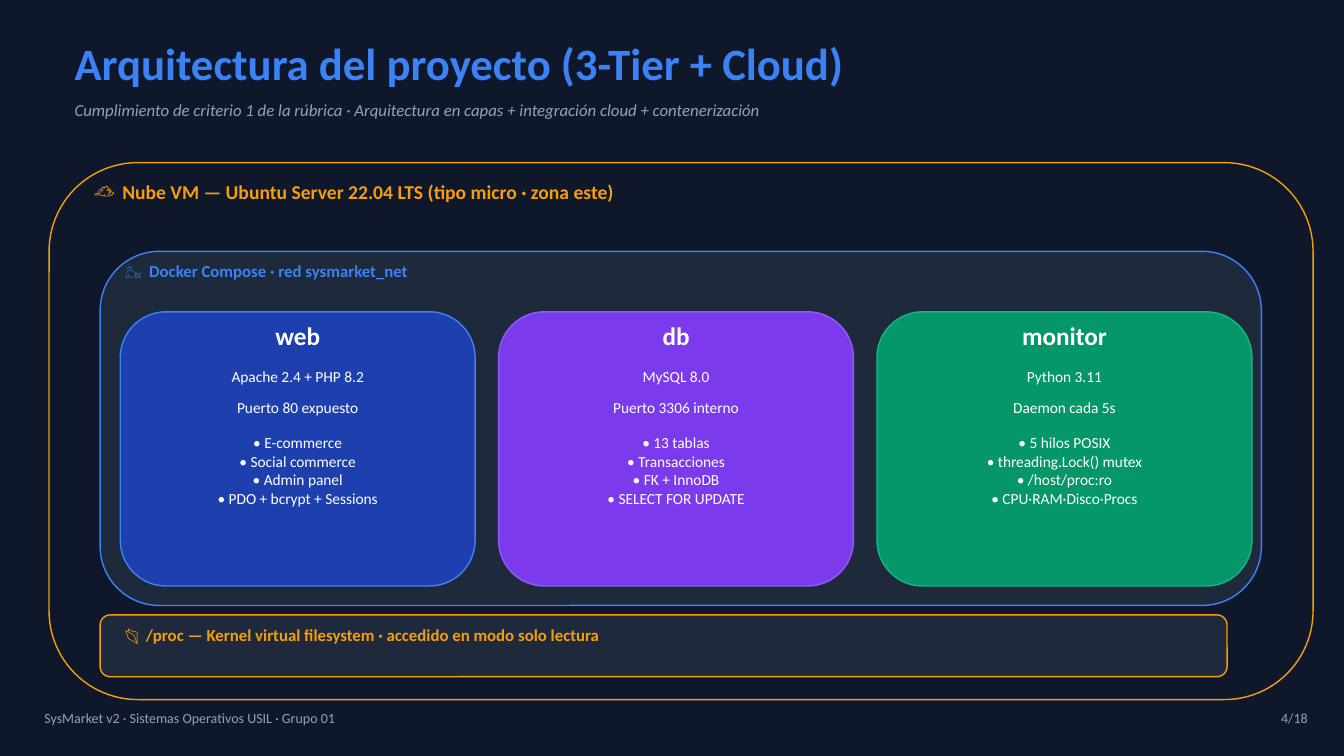
import lxml.etree
import pptx
import pptx.dml.color
import pptx.enum.shapes
import pptx.enum.text
import pptx.oxml.ns
import pptx.util

EMU_PER_PX = 9144  # 100 px to the inch
ALIGN = pptx.enum.text.PP_ALIGN
COLORS = {
    "background": "0F172A",
    "panel": "1E293B",
    "blue": "3B82F6",
    "orange": "F59E0B",
    "muted": "94A3B8",
    "white": "FFFFFF",
    "web": "1E40AF",
    "db": "7C3AED",
    "db_line": "8B5CF6",
    "monitor": "059669",
    "monitor_line": "10B981",
}


def px(value):
    return pptx.util.Emu(value * EMU_PER_PX)


def color(name):
    return pptx.dml.color.RGBColor.from_string(COLORS[name])


class SlideBuilder:
    font_name = "Calibri"
    line_width = 1.5
    line_height = 1.2

    def __init__(self, slide):
        self.slide = slide
        fill = slide.background.fill
        fill.solid()
        fill.fore_color.rgb = color("background")

    def format_text(self, shape, text, size, color_name, bold=False,
                    italic=False, align=ALIGN.LEFT, tab=None):
        frame = shape.text_frame
        frame.text = text
        frame.word_wrap = True
        frame.auto_size = pptx.enum.text.MSO_AUTO_SIZE.NONE
        frame.vertical_anchor = pptx.enum.text.MSO_ANCHOR.TOP
        frame.margin_left = frame.margin_right = 0
        frame.margin_top = frame.margin_bottom = 0
        for paragraph in frame.paragraphs:
            paragraph.alignment = align
            paragraph.space_before = pptx.util.Pt(0)
            paragraph.line_spacing = pptx.util.Pt(size * self.line_height)
            if tab:
                self.add_tab(paragraph, tab)
            for run in paragraph.runs:
                run.font.name = self.font_name
                run.font.size = pptx.util.Pt(size)
                run.font.bold = bold
                run.font.italic = italic
                run.font.color.rgb = color(color_name)

    def add_tab(self, paragraph, position):
        qn = pptx.oxml.ns.qn
        properties = paragraph._p.get_or_add_pPr()
        tabs = lxml.etree.SubElement(properties, qn("a:tabLst"))
        lxml.etree.SubElement(tabs, qn("a:tab"), pos=str(px(position)), algn="l")

    def title(self, left, top, width, height, text, size, color_name):
        shape = self.slide.shapes.title
        shape.left, shape.top = px(left), px(top)
        shape.width, shape.height = px(width), px(height)
        self.format_text(shape, text, size, color_name, bold=True)

    def text(self, left, top, width, height, text, size, color_name, **style):
        shape = self.slide.shapes.add_textbox(
            px(left), px(top), px(width), px(height))
        self.format_text(shape, text, size, color_name, **style)

    def panel(self, left, top, width, height, radius, fill, line):
        shape = self.slide.shapes.add_shape(
            pptx.enum.shapes.MSO_SHAPE.ROUNDED_RECTANGLE,
            px(left), px(top), px(width), px(height))
        shape.adjustments[0] = radius / min(width, height)
        shape.shadow.inherit = False
        shape.fill.solid()
        shape.fill.fore_color.rgb = color(fill)
        shape.line.color.rgb = color(line)
        shape.line.width = pptx.util.Pt(self.line_width)

    def card(self, left, width, fill, line, name, facts, features):
        self.panel(left, 464, width, 408, 68, fill, line)
        inner = (left + 22, width - 44)
        rows = [(476, 62, name, 27, True)]
        rows += [(547 + 45 * i, 44, fact, 16.5, False)
                 for i, fact in enumerate(facts)]
        bullets = "\n".join(f"• {feature}" for feature in features)
        rows.append((645, 194, bullets, 16.5, False))
        for top, height, text, size, bold in rows:
            self.text(inner[0], top, inner[1], height, text, size, "white",
                      bold=bold, align=ALIGN.CENTER)


def main():
    presentation = pptx.Presentation()
    presentation.slide_width = px(2000)
    presentation.slide_height = px(1125)
    slide = presentation.slides.add_slide(presentation.slide_layouts[5])
    builder = SlideBuilder(slide)

    # Heading
    builder.title(111, 53, 1790, 95,
                  "Arquitectura del proyecto (3-Tier + Cloud)", 48, "blue")
    builder.text(111, 148, 1790, 60,
                 "Cumplimiento de criterio 1 de la rúbrica · Arquitectura en "
                 "capas + integración cloud + contenerización",
                 18, "muted", italic=True)

    # Cloud server
    builder.panel(73, 242, 1881, 799, 132, "background", "orange")
    builder.text(141, 267, 1640, 61,
                 "☁\tNube VM — Ubuntu Server 22.04 LTS (tipo micro · zona este)",
                 21, "orange", bold=True, tab=41)

    # Container network
    builder.panel(149, 374, 1728, 527, 88, "panel", "blue")
    builder.text(186, 388, 1640, 52, "🐳\tDocker Compose · red sysmarket_net",
                 18, "blue", bold=True, tab=36)

    # Service cards
    cards = [
        (528, "web", "blue", "web",
         ["Apache 2.4 + PHP 8.2", "Puerto 80 expuesto"],
         ["E-commerce", "Social commerce", "Admin panel",
          "PDO + bcrypt + Sessions"]),
        (528, "db", "db_line", "db",
         ["MySQL 8.0", "Puerto 3306 interno"],
         ["13 tablas", "Transacciones", "FK + InnoDB", "SELECT FOR UPDATE"]),
        (558, "monitor", "monitor_line", "monitor",
         ["Python 3.11", "Daemon cada 5s"],
         ["5 hilos POSIX", "threading.Lock() mutex", "/host/proc:ro",
          "CPU·RAM·Disco·Procs"]),
    ]
    left, gap = 179, 35
    for width, *content in cards:
        builder.card(left, width, *content)
        left += width + gap

    # Kernel filesystem
    builder.panel(149, 915, 1677, 92, 15, "panel", "orange")
    builder.text(186, 929, 1640, 60,
                 "📂\t/proc — Kernel virtual filesystem · accedido en modo "
                 "solo lectura", 18, "orange", bold=True, tab=31)

    # Footer
    builder.text(66, 1056, 1190, 60,
                 "SysMarket v2 · Sistemas Operativos USIL · Grupo 01",
                 15, "muted")
    builder.text(1807, 1056, 139, 60, "4/18", 15, "muted", align=ALIGN.RIGHT)

    presentation.save("out.pptx")


if __name__ == "__main__":
    main()
